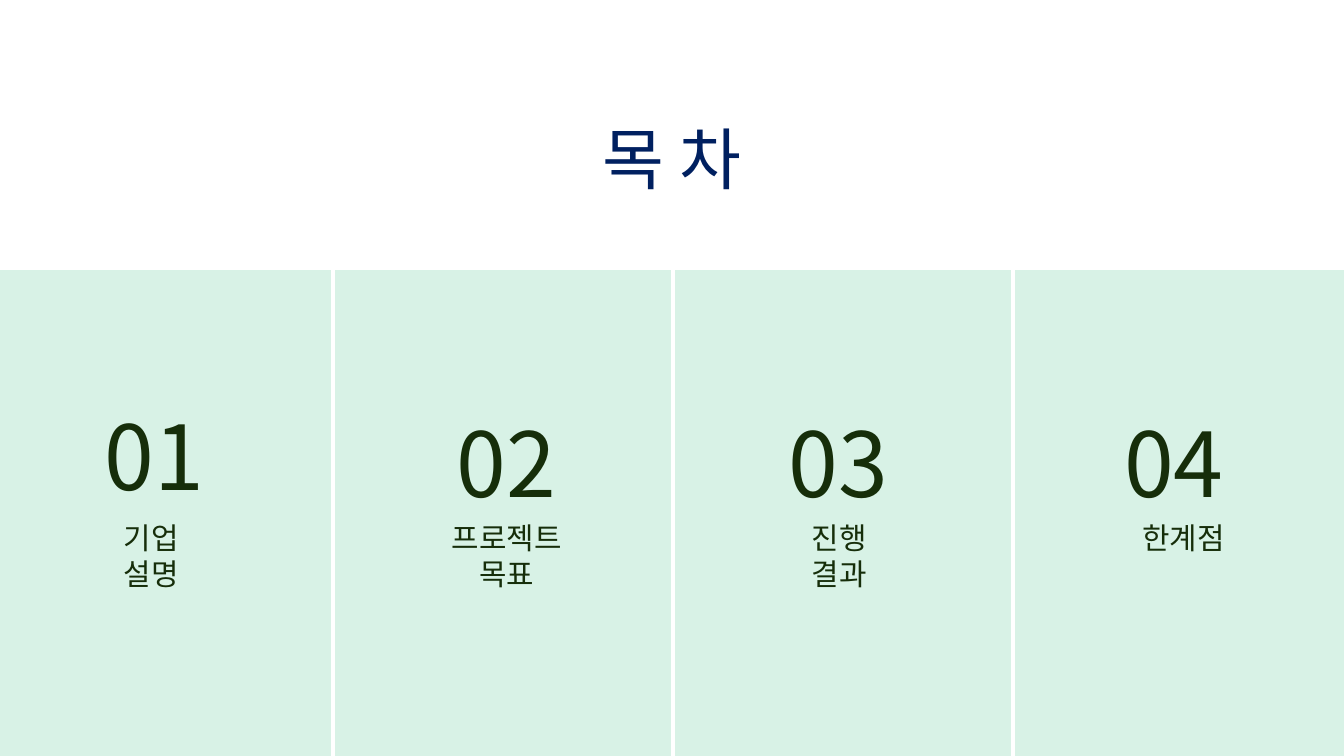
from lxml import etree
from pptx import Presentation
from pptx.dml.color import RGBColor
from pptx.enum.shapes import MSO_CONNECTOR, MSO_SHAPE
from pptx.enum.text import MSO_ANCHOR, MSO_AUTO_SIZE, PP_ALIGN
from pptx.oxml.ns import qn
from pptx.util import Inches, Pt

CENTER = PP_ALIGN.CENTER
MIDDLE, BOTTOM = MSO_ANCHOR.MIDDLE, MSO_ANCHOR.BOTTOM
NO_FIT = MSO_AUTO_SIZE.NONE
RECTANGLE, STRAIGHT = MSO_SHAPE.RECTANGLE, MSO_CONNECTOR.STRAIGHT
FONT = "Noto Sans CJK KR"
NAVY, GREEN, MINT, WHITE = "002060", "162E0A", "D8F2E6", "FFFFFF"
PAGE_WIDTH = 10
PAGE_HEIGHT = PAGE_WIDTH * 9 / 16
BAND_TOP = 2.01

# Number, number box, label, label box
SECTIONS = [
    ("01", (0.4, 3.07, 1.5, 0.63), "기업 설명", (0.67, 4.12, 0.91, 0.38)),
    ("02", (3.02, 3.12, 1.49, 0.63), "프로젝트 목표", (3.08, 4.12, 1.38, 0.38)),
    ("03", (5.29, 3.12, 1.89, 0.63), "진행 결과", (5.77, 4.12, 0.95, 0.38)),
    ("04", (7.78, 3.12, 1.91, 0.63), "한계점", (7.96, 3.85, 1.69, 0.38)),
]


def color(value):
    return RGBColor.from_string(value)


def place(shape, box):
    shape.left, shape.top, shape.width, shape.height = map(Inches, box)


def write(shape, text, size, ink, anchor=MIDDLE):
    frame = shape.text_frame
    frame.word_wrap = True
    frame.auto_size = NO_FIT
    frame.vertical_anchor = anchor
    frame.margin_left = frame.margin_right = Inches(0.1)
    frame.margin_top = frame.margin_bottom = Inches(0.1)
    para = frame.paragraphs[0]
    para.alignment = CENTER
    para.line_spacing = 1.0
    span = para.add_run()
    span.text = text
    span.font.size = Pt(size)
    span.font.name = FONT
    span.font.color.rgb = color(ink)
    # Hangul takes the East Asian typeface
    east_asian = etree.SubElement(span.font._element, qn("a:ea"))
    east_asian.set("typeface", FONT)


def add_band(page, box):
    band = page.shapes.add_shape(RECTANGLE, *map(Inches, box))
    band.shadow.inherit = False
    band.fill.solid()
    band.fill.fore_color.rgb = color(MINT)
    band.line.fill.background()


def add_dividers(page, top, bottom):
    for index in range(3):
        x = Inches(2.48 + 2.53 * index)
        divider = page.shapes.add_connector(STRAIGHT, x, Inches(bottom), x, Inches(top))
        divider.line.color.rgb = color(WHITE)
        divider.line.width = Pt(2.25)
        etree.SubElement(divider._element.spPr, qn("a:effectLst"))


def add_section(page, number, number_box, label, label_box):
    number_shape = page.shapes.add_textbox(*map(Inches, number_box))
    write(number_shape, number, 48, GREEN)
    label_shape = page.shapes.add_textbox(*map(Inches, label_box))
    write(label_shape, label, 16, GREEN, anchor=BOTTOM)


def main():
    deck = Presentation()
    deck.slide_width, deck.slide_height = Inches(PAGE_WIDTH), Inches(PAGE_HEIGHT)
    page = deck.slides.add_slide(deck.slide_layouts[5])

    # Title
    title = page.shapes.title
    place(title, (0.79, 0.66, 8.42, 1.03))
    write(title, "목 차", 36, NAVY)

    # Contents panels
    add_band(page, (0, BAND_TOP, PAGE_WIDTH, PAGE_HEIGHT - BAND_TOP))
    add_dividers(page, 1.85, PAGE_HEIGHT)
    for section in SECTIONS:
        add_section(page, *section)

    deck.save("out.pptx")


if __name__ == "__main__":
    main()
